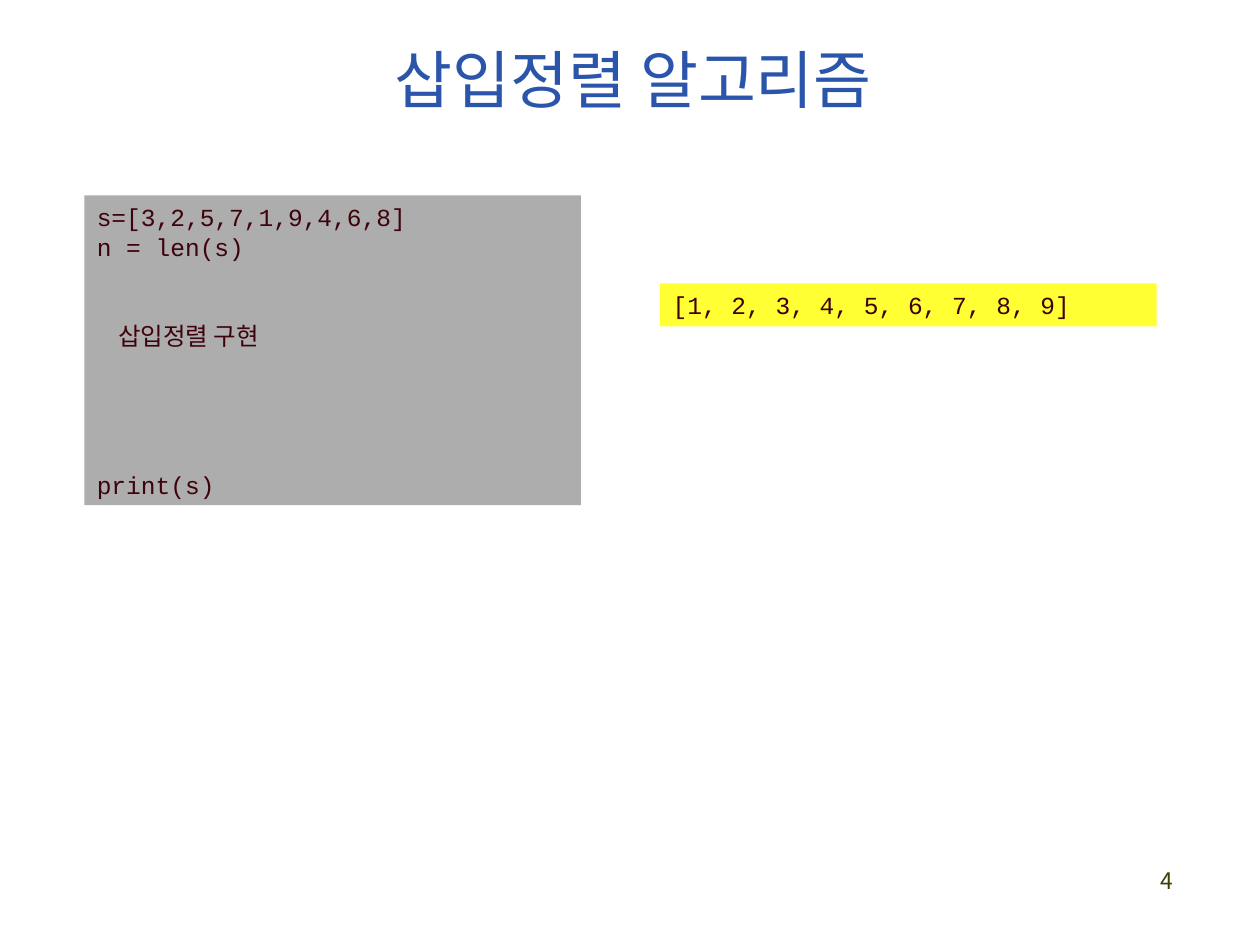
import pptx
import pptx.dml.color
import pptx.enum.shapes
import pptx.enum.text
import pptx.oxml.ns
import pptx.util
from lxml import etree

Inches = pptx.util.Inches
Pt = pptx.util.Pt
Align = pptx.enum.text.PP_ALIGN
Anchor = pptx.enum.text.MSO_ANCHOR


def color(code):
    return pptx.dml.color.RGBColor.from_string(code)


class Deck:
    """Holds the text styles and the current slide."""
    HAN = "Noto Sans CJK KR"
    TITLE = {"size": Pt(36), "name": "Times New Roman"}, "2A55AA"
    CODE = {"size": Pt(14), "name": "Courier New"}, "3E020C"
    PAGE = {"size": Pt(13), "name": HAN}, "3F3E00"
    PITCH = 17  # points from one code line to the next

    def __init__(self):
        self.file = pptx.Presentation()
        self.file.slide_width = Inches(10)
        self.file.slide_height = Inches(7.5)
        self.slide = self.file.slides.add_slide(self.file.slide_layouts[5])

    def label(self, para, text, style, **form):
        for key, value in form.items():
            setattr(para, key, value)
        run = para.add_run()
        run.text = text
        font, tint = style
        for key, value in font.items():
            setattr(run.font, key, value)
        run.font.color.rgb = color(tint)
        # Korean glyphs take their own typeface
        east = etree.SubElement(run.font._element, pptx.oxml.ns.qn("a:ea"))
        east.set("typeface", self.HAN)

    def title(self, text, *area):
        shape = self.slide.shapes.title
        shape.left, shape.top, shape.width, shape.height = map(Inches, area)
        frame = shape.text_frame
        frame.vertical_anchor = Anchor.MIDDLE
        self.label(frame.paragraphs[0], text, self.TITLE, alignment=Align.CENTER)

    def page(self, text, *area):
        frame = self.slide.shapes.add_textbox(*map(Inches, area)).text_frame
        frame.word_wrap = True
        self.label(frame.paragraphs[0], text, self.PAGE, alignment=Align.RIGHT)

    def code(self, lines, fill, *area):
        """Each line is (text, skipped lines above, left indent in inches)."""
        rect = pptx.enum.shapes.MSO_SHAPE.RECTANGLE
        box = self.slide.shapes.add_shape(rect, *map(Inches, area))
        box.shadow.inherit = False
        box.fill.solid()
        box.fill.fore_color.rgb = color(fill)
        box.line.fill.background()
        frame = box.text_frame
        frame.word_wrap = True
        frame.vertical_anchor = Anchor.TOP
        for row, (text, skip, indent) in enumerate(lines):
            para = frame.add_paragraph() if row else frame.paragraphs[0]
            self.label(para, text, self.CODE, alignment=Align.LEFT,
                       line_spacing=Pt(self.PITCH),
                       space_before=Pt(skip * self.PITCH))
            if indent:
                para._p.get_or_add_pPr().set("marL", str(Inches(indent)))


def main():
    deck = Deck()

    # Heading and page number
    deck.title("삽입정렬 알고리즘 ", 0.83, 0.25, 8.5, 0.75)
    deck.page("4", 7.33, 6.83, 2.08, 0.5)

    # Program with room for the sort
    deck.code([("s=[3,2,5,7,1,9,4,6,8]", 0, 0),
               ("n = len(s)", 0, 0),
               ("삽입정렬 구현", 2, 0.17),
               ("print(s)", 4, 0)], "ADADAD", 0.67, 1.55, 3.94, 2.46)

    # Printed result
    deck.code([("[1, 2, 3, 4, 5, 6, 7, 8, 9]", 0, 0)],
              "FFFF33", 5.24, 2.25, 3.94, 0.34)

    deck.file.save("out.pptx")


if __name__ == "__main__":
    main()
